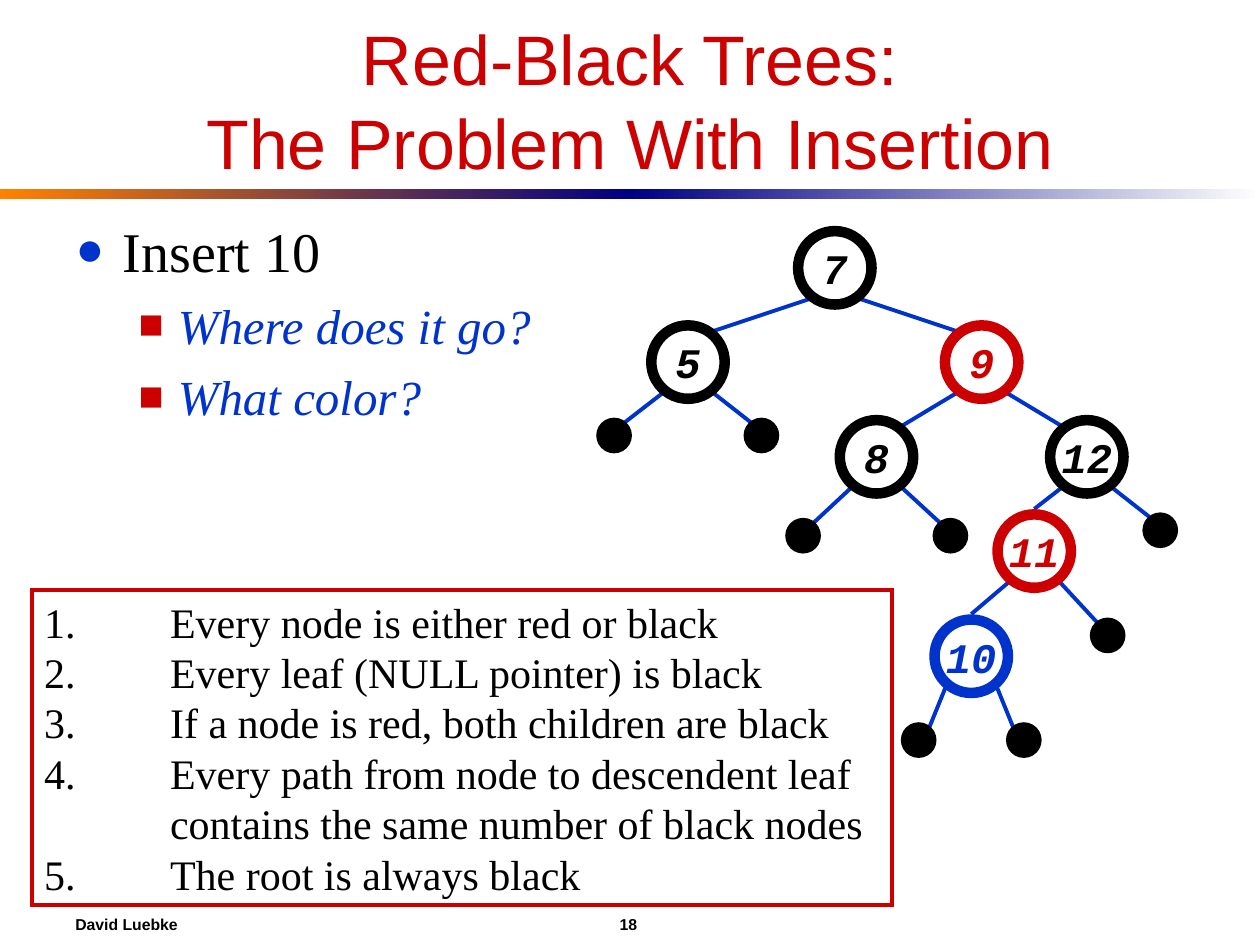
from lxml.etree import SubElement
from pptx import Presentation
from pptx.dml.color import RGBColor
from pptx.enum.shapes import MSO_CONNECTOR as CONNECTOR, MSO_SHAPE as SHAPE
from pptx.enum.text import MSO_ANCHOR as ANCHOR, MSO_AUTO_SIZE as AUTO_SIZE, PP_ALIGN as ALIGN
from pptx.oxml.ns import qn
from pptx.util import Cm, Pt

COLORS = {"black": "000000", "white": "FFFFFF", "red": "CC0000",
          "blue": "0033CC", "orange": "FF8200", "navy": "000082"}

# Tree layout in cm: value -> (centre x, centre y, colour)
NODES = {
    "7": (16.83, 5.4, "black"),
    "5": (13.87, 7.3, "black"),
    "9": (19.79, 7.3, "red"),
    "8": (17.67, 9.21, "black"),
    "12": (21.91, 9.21, "black"),
    "11": (20.85, 11.11, "red"),
    "10": (19.58, 13.23, "blue"),
}
# Parent -> children; a pair of numbers is the centre of a NULL leaf
CHILDREN = {
    "7": ("5", "9"),
    "5": ((12.38, 8.78), (15.35, 8.78)),
    "9": ("8", "12"),
    "8": ((16.19, 10.8), (19.16, 10.8)),
    "12": ("11", (23.39, 10.69)),
    "11": ("10", (22.33, 12.81)),
    "10": ((18.52, 14.92), (20.64, 14.92)),
}
ENTERED_AT_TOP = {"11", "10"}
NODE_SIZE, LEAF_SIZE = 1.48, 0.64
NODE_DX, NODE_DY, NODE_TOP = 0.52, 0.63, 0.85
LEAF_DX, LEAF_DY = 0.22, 0.27


def color(name):
    return RGBColor.from_string(COLORS[name])


def write(paragraph, text, *, font, size, ink="black", bold=False,
          italic=False, align=ALIGN.LEFT, before=0, tab=None):
    paragraph.text = text
    paragraph.alignment = align
    paragraph.space_before = Pt(before)
    for run in paragraph.runs:
        run.font.name = font
        run.font.size = Pt(size)
        run.font.bold = bold
        run.font.italic = italic
        run.font.color.rgb = color(ink)
    if tab:
        stops = SubElement(paragraph._p.get_or_add_pPr(), qn("a:tabLst"))
        SubElement(stops, qn("a:tab"), pos=str(Cm(tab)), algn="l")


class SlideBuilder:
    heading_font = "Arial"
    text_font = "Times New Roman"
    node_font = "Courier New"

    def __init__(self, slide):
        self.slide = slide
        self.shapes = slide.shapes

    def place(self, holder, left, top, width, height):
        holder.left, holder.top = Cm(left), Cm(top)
        holder.width, holder.height = Cm(width), Cm(height)
        frame = holder.text_frame
        frame.word_wrap = True
        frame.auto_size = AUTO_SIZE.NONE
        return frame

    def title(self, text, *box):
        frame = self.place(self.shapes.title, *box)
        frame.vertical_anchor = ANCHOR.MIDDLE
        write(frame.paragraphs[0], text, font=self.heading_font, size=40,
              ink="red", align=ALIGN.CENTER)

    def bullets(self, items, *box):
        frame = self.place(self.slide.placeholders[1], *box)
        frame.vertical_anchor = ANCHOR.TOP
        levels = (
            dict(sign="●", sign_ink="blue", margin=0.95, hang=0.95,
                 style=dict(size=32, before=8)),
            dict(sign="■", sign_ink="red", margin=2.06, hang=0.79,
                 style=dict(size=28, before=7, ink="blue", italic=True)),
        )
        for index, (level, text) in enumerate(items):
            paragraph = frame.add_paragraph() if index else frame.paragraphs[0]
            look = levels[level]
            write(paragraph, text, font=self.text_font, **look["style"])
            paragraph.level = level
            props = paragraph._p.get_or_add_pPr()
            props.set("marL", str(Cm(look["margin"])))
            props.set("indent", str(-Cm(look["hang"])))
            tint = SubElement(props, qn("a:buClr"))
            SubElement(tint, qn("a:srgbClr"), val=COLORS[look["sign_ink"]])
            SubElement(props, qn("a:buSzPct"), val="85000")
            SubElement(props, qn("a:buFont"), typeface=self.text_font)
            SubElement(props, qn("a:buChar"), char=look["sign"])

    def shape(self, kind, left, top, width, height, *, fill=None, line=None, weight=2.25):
        shape = self.shapes.add_shape(kind, Cm(left), Cm(top), Cm(width), Cm(height))
        shape.shadow.inherit = False
        if fill:
            shape.fill.solid()
            shape.fill.fore_color.rgb = color(fill)
        else:
            shape.fill.background()
        if line:
            shape.line.color.rgb = color(line)
            shape.line.width = Pt(weight)
            SubElement(shape.line._get_or_add_ln(), qn("a:miter"), lim="800000")
        else:
            shape.line.fill.background()
        return shape

    def gradient_bar(self, left, start, end):
        bar = self.shape(SHAPE.RECTANGLE, left, 3.81, 12.7, 0.2)
        bar.fill.gradient()
        bar.fill.gradient_angle = 0
        for stop, name in zip(bar.fill.gradient_stops, (start, end)):
            stop.color.rgb = color(name)

    def circle(self, x, y, size, **look):
        return self.shape(SHAPE.OVAL, x - size / 2, y - size / 2, size, size, **look)

    def leaf(self, x, y):
        self.circle(x, y, LEAF_SIZE, fill="black", line="black")

    def node(self, value, x, y, ink):
        frame = self.circle(x, y, NODE_SIZE, fill="white", line=ink, weight=6).text_frame
        frame.word_wrap = False
        frame.vertical_anchor = ANCHOR.MIDDLE
        write(frame.paragraphs[0], value, font=self.node_font, size=24,
              ink=ink, bold=True, italic=True, align=ALIGN.CENTER)

    def edge(self, *ends):
        edge = self.shapes.add_connector(CONNECTOR.STRAIGHT, *map(Cm, ends))
        edge.line.color.rgb = color("blue")
        edge.line.width = Pt(2.25)
        SubElement(edge._element.spPr, qn("a:effectLst"))

    def rules_box(self, rules, *box):
        frame = self.shape(SHAPE.RECTANGLE, *box, line="red").text_frame
        frame.word_wrap = True
        frame.vertical_anchor = ANCHOR.MIDDLE
        for index, rule in enumerate(rules):
            paragraph = frame.add_paragraph() if index else frame.paragraphs[0]
            write(paragraph, f"{index + 1}.\t{rule}", font=self.text_font, size=24, tab=2.54)

    def footer(self, author, number, *box):
        frame = self.place(self.shapes.add_textbox(0, 0, 0, 0), *box)
        frame.vertical_anchor = ANCHOR.MIDDLE
        write(frame.paragraphs[0], f"{author}\t{number}", font=self.heading_font,
              size=9, bold=True, tab=10.97)

    def tree(self):
        leaves = []
        # Edges first, so that the nodes cover their ends
        for parent, children in CHILDREN.items():
            x, y, _ = NODES[parent]
            for side, child in zip((-1, 1), children):
                if child in NODES:
                    child_x, child_y, _ = NODES[child]
                    dx, dy = (0, NODE_TOP) if child in ENTERED_AT_TOP else (NODE_DX, NODE_DY)
                else:
                    child_x, child_y = child
                    dx, dy = LEAF_DX, LEAF_DY
                    leaves.append(child)
                self.edge(x + side * NODE_DX, y + NODE_DY,
                          child_x - side * dx, child_y - dy)
        for centre in leaves:
            self.leaf(*centre)
        for value, place in NODES.items():
            self.node(value, *place)


def main():
    deck = Presentation()
    deck.slide_width, deck.slide_height = Cm(25.4), Cm(19.05)
    page = SlideBuilder(deck.slides.add_slide(deck.slide_layouts[1]))

    # Heading and the bar below it
    page.title("Red-Black Trees:\vThe Problem With Insertion", 1.27, 0.64, 22.86, 2.75)
    page.gradient_bar(0, "orange", "navy")
    page.gradient_bar(12.7, "navy", "white")

    # Questions
    page.bullets([(0, "Insert 10"), (1, "Where does it go?"), (1, "What color?")],
                 1.27, 4.23, 22.86, 12.07)

    # Red-black properties
    page.rules_box(["Every node is either red or black",
                    "Every leaf (NULL pointer) is black",
                    "If a node is red, both children are black",
                    "Every path from node to descendent leaf\v"
                    "\tcontains the same number of black nodes",
                    "The root is always black"],
                   0.64, 11.89, 17.35, 6.35)

    page.tree()
    page.footer("David Luebke", "18", 1.27, 18.21, 22.86, 0.84)
    deck.save("out.pptx")


if __name__ == "__main__":
    main()
